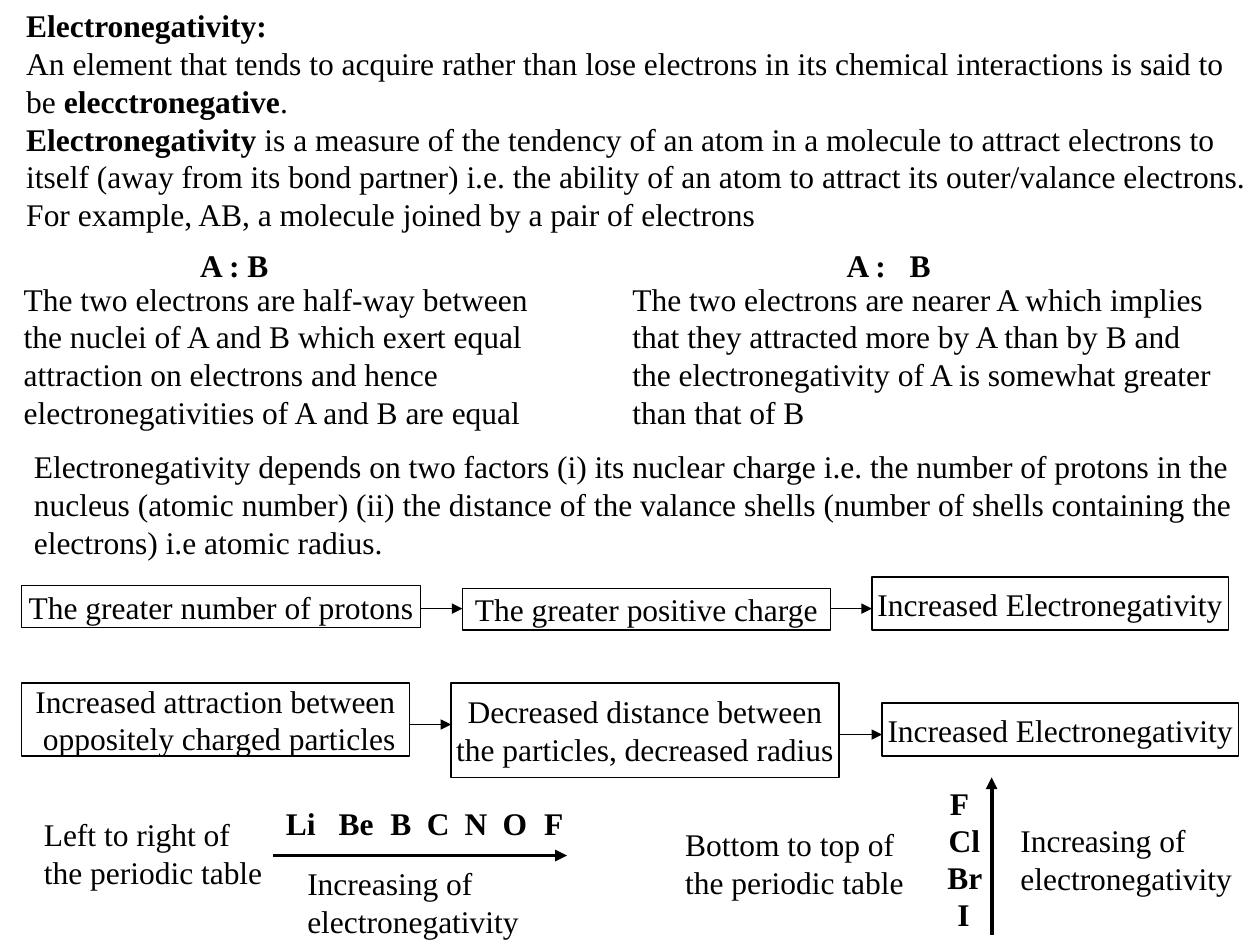
from lxml import etree
from pptx import Presentation
from pptx.dml.color import RGBColor
from pptx.enum import shapes, text
from pptx.oxml import ns
from pptx.util import Inches, Pt

BLACK = RGBColor(0, 0, 0)
FONT = {"name": "Times New Roman", "size": Pt(18)}
LEFT, MID, FULL = text.PP_ALIGN.LEFT, text.PP_ALIGN.CENTER, text.PP_ALIGN.JUSTIFY

INTRO = """**Electronegativity:**
An element that tends to acquire rather than lose electrons in its chemical interactions is said to
be **elecctronegative**.
**Electronegativity** is a measure of the tendency of an atom in a molecule to attract electrons to
itself (away from its bond partner) i.e. the ability of an atom to attract its outer/valance electrons.
For example, AB, a molecule joined by a pair of electrons"""
EQUAL = """The two electrons are half-way between
the nuclei of A and B which exert equal
attraction on electrons and hence
electronegativities of A and B are equal"""
NEARER = """The two electrons are nearer A which implies
that they attracted more by A than by B and
the electronegativity of A is somewhat greater
than that of B"""
FACTORS = """Electronegativity depends on two factors (i) its nuclear charge i.e. the number of protons in the
nucleus (atomic number) (ii) the distance of the valance shells (number of shells containing the
electrons) i.e atomic radius."""
TREND = "Increasing of\nelectronegativity"
RESULT = "Increased Electronegativity"


def inches(*nums):
    return [Inches(num) for num in nums]


def write(frame, words, align=LEFT, tabs=()):
    frame.word_wrap = bool(tabs)
    for row, line in enumerate(words.split("\n")):
        para = frame.paragraphs[0] if row == 0 else frame.add_paragraph()
        para.alignment = align
        if tabs:
            stops = etree.SubElement(para._p.get_or_add_pPr(), ns.qn("a:tabLst"))
            for stop in tabs:
                etree.SubElement(stops, ns.qn("a:tab"), pos=str(Inches(stop)), algn="l")
        for part, piece in enumerate(line.split("**")):
            if piece:
                run = para.add_run()
                run.text = piece
                for key, val in FONT.items():
                    setattr(run.font, key, val)
                run.font.bold = part % 2 == 1
                run.font.color.rgb = BLACK


def label(parent, box, words, align=LEFT, tabs=()):
    item = parent.add_textbox(*inches(*box))
    item.text_frame.auto_size = text.MSO_AUTO_SIZE.SHAPE_TO_FIT_TEXT
    write(item.text_frame, words, align, tabs)


def arrow(parent, start, end, width=0.75):
    line = parent.add_connector(shapes.MSO_CONNECTOR.STRAIGHT, *inches(*start, *end))
    line.line.color.rgb = BLACK
    line.line.width = Pt(width)
    etree.SubElement(line.line._get_or_add_ln(), ns.qn("a:tailEnd"), type="triangle")
    etree.SubElement(line._element.spPr, ns.qn("a:effectLst"))


def frame(parent, box, words):
    item = parent.add_shape(shapes.MSO_SHAPE.RECTANGLE, *inches(*box))
    item.shadow.inherit = False
    item.fill.background()
    item.line.color.rgb = BLACK
    item.line.width = Pt(0.75)
    item.text_frame.vertical_anchor = text.MSO_ANCHOR.MIDDLE
    write(item.text_frame, words, MID)


def case(parent, box, gap, pair, words, tabs=()):
    left, top, width, height = box
    label(parent, (left + gap, top, 0.88 if tabs else 0.75, 0.4), pair, LEFT, tabs)
    label(parent, (left, top + 0.27, width, height - 0.27), words)


def flow(parent, box, steps, levels):
    left, top = box[:2]
    ends = []
    for x, y, width, height, words in steps:
        frame(parent, (left + x, top + y, width, height), words)
        ends.append((left + x, left + x + width))
    for here, after, level in zip(ends, ends[1:], levels):
        arrow(parent, (here[1], top + level), (after[0], top + level))


def period(parent, box):
    left, top = box[:2]
    label(parent, (left, top + 0.09, 1.94, 0.7), "Left to right of\nthe periodic table")
    label(parent, (left + 1.92, top, 2.4, 0.4), "**Li\tBe\tB\tC\tN\tO\tF**",
          LEFT, (0.42, 0.83, 1.12, 1.42, 1.72, 2.05))
    arrow(parent, (left + 1.92, top + 0.46), (left + 4.25, top + 0.46), 2.25)
    label(parent, (left + 2.09, top + 0.48, 1.88, 0.7), TREND)


def column(parent, box):
    left, top, _, height = box
    label(parent, (left, top + 0.33, 1.94, 0.7), "Bottom to top of\nthe periodic table")
    group = parent.add_group_shape().shapes
    atoms = (("F", 2.1, 0.35), ("Cl", 2.09, 0.45), ("Br", 2.08, 0.48), ("I", 2.16, 0.29))
    for row, (name, x, width) in enumerate(atoms):
        label(group, (left + x, top + row * 0.295, width, 0.4), f"**{name}**")
    arrow(parent, (left + 2.53, top + height), (left + 2.53, top), 2.25)
    label(parent, (left + 2.66, top + 0.3, 1.88, 0.7), TREND)


def main():
    deck = Presentation()
    deck.slide_width, deck.slide_height = inches(10, 7.5)
    parts = deck.slides.add_slide(deck.slide_layouts[6]).shapes
    label(parts, (0.11, 0, 9.89, 1.9), INTRO, FULL)
    case(parts, (0.09, 1.9, 4.24, 1.57), 1.4, "**A : B**", EQUAL)
    case(parts, (4.92, 1.9, 4.82, 1.57), 1.7, "**A :\tB**", NEARER, (0.5,))
    label(parts, (0.17, 3.5, 9.71, 1), FACTORS)
    flow(parts, (0.17, 4.58, 9.58, 0.42), (
        (0, 0.07, 3.17, 0.33, "The greater number of protons"),
        (3.5, 0.09, 2.92, 0.33, "The greater positive charge"),
        (6.75, 0, 2.83, 0.42, RESULT)), (0.25, 0.25))
    flow(parts, (0.17, 5.42, 9.66, 0.75), (
        (0, 0, 3.08, 0.58, "Increased attraction between\n oppositely charged particles"),
        (3.41, 0, 3.08, 0.75, "Decreased distance between\nthe particles, decreased radius"),
        (6.83, 0.16, 2.83, 0.42, RESULT)), (0.33, 0.41))
    period(parts, (0.25, 6.33, 4.32, 1.18))
    column(parts, (5.34, 6.17, 4.54, 1.25))
    deck.save("out.pptx")


if __name__ == "__main__":
    main()
